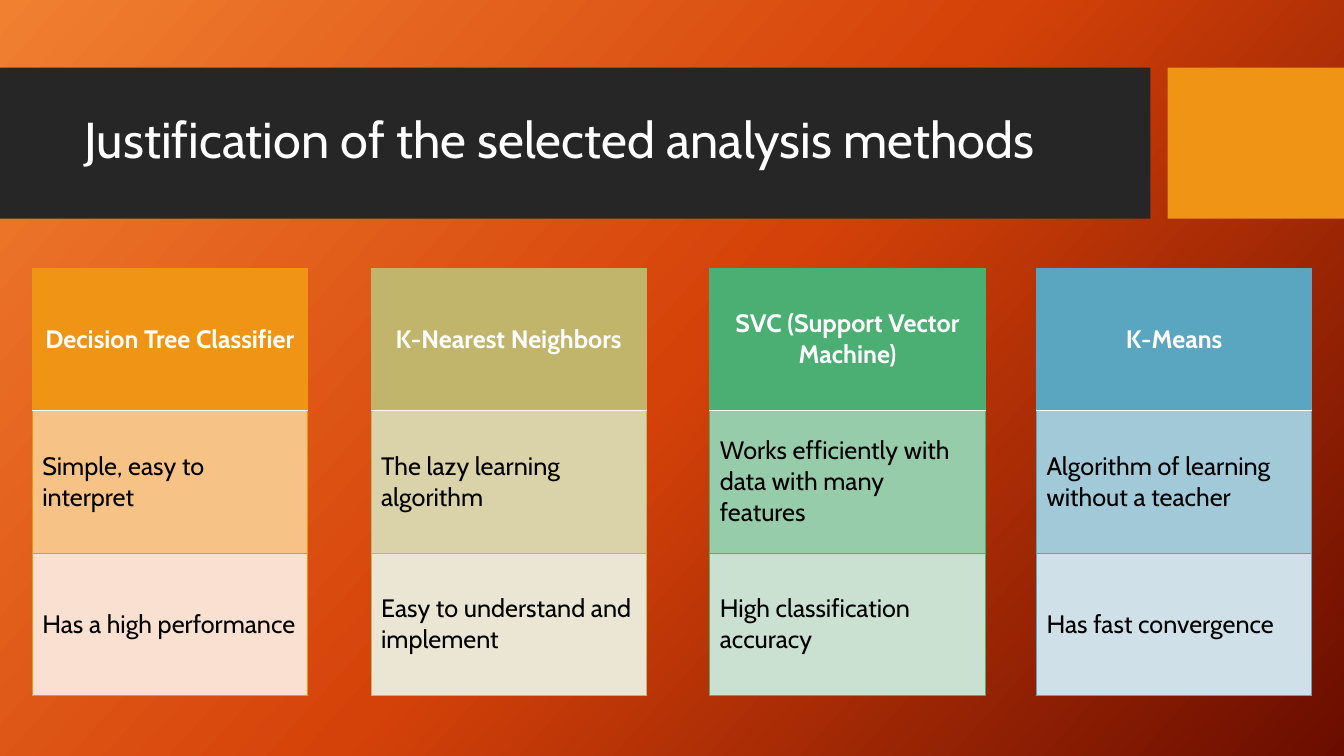
from copy import deepcopy

from lxml.etree import SubElement
from pptx import Presentation
from pptx.dml.color import RGBColor
from pptx.enum.shapes import MSO_SHAPE
from pptx.enum.text import MSO_ANCHOR, PP_ALIGN
from pptx.oxml.ns import qn
from pptx.util import Inches, Pt

FONT = "Cabin"
COLORS = {
    "dark": "262626", "white": "FFFFFF", "black": "000000",
    "orange": "F09415", "olive": "C1B56B", "green": "4BAF73", "blue": "5AA6C0",
    "orange_pale": "FAE0D0", "olive_pale": "EAE6D3",
    "green_pale": "CAE0D1", "blue_pale": "D0E0E8",
}
BACKDROP = [(0, "F18031"), (0.5, "D54209"), (1, "6A0D00")]
TITLE = "Justification of the selected analysis methods"
# left edge, hue, header and two reasons
METHODS = [
    (0.32, "orange", ["Decision Tree Classifier", "Simple, easy to interpret",
                      "Has a high performance"]),
    (3.68, "olive", ["K-Nearest Neighbors", "The lazy learning algorithm",
                     "Easy to understand and implement"]),
    (7.04, "green", ["SVC (Support Vector Machine)",
                     "Works efficiently with data with many features",
                     "High classification accuracy"]),
    (10.28, "blue", ["K-Means", "Algorithm of learning without a teacher",
                     "Has fast convergence"]),
]
TOP, WIDTH, HEIGHT = 2.66, 2.73, 4.24
BAND_TOP, BAND_HEIGHT = 0.67, 1.5


def rgb(name):
    return RGBColor.from_string(COLORS[name])


def blend(front, back, share):
    """Mix two named colours, with the given share of the front one."""
    pairs = zip(rgb(front), rgb(back))
    return RGBColor(*(round(f * share + b * (1 - share)) for f, b in pairs))


def style(par, size, color, bold=False):
    for run in par.runs:
        run.font.name = FONT
        run.font.size = Pt(size)
        run.font.bold = bold
        run.font.color.rgb = rgb(color)


def paint_backdrop(slide):
    fill = slide.background.fill
    fill.gradient()
    fill.gradient_angle = 318
    stops = next(slide.element.iter(qn("a:gsLst")))
    stops.append(deepcopy(stops[0]))
    for stop, (place, color) in zip(fill.gradient_stops, BACKDROP):
        stop.position = place
        stop.color.rgb = RGBColor.from_string(color)


def add_band(slide, left, width, color):
    band = slide.shapes.add_shape(
        MSO_SHAPE.RECTANGLE, Inches(left), Inches(BAND_TOP),
        Inches(width), Inches(BAND_HEIGHT))
    band.shadow.inherit = False
    band.fill.solid()
    band.fill.fore_color.rgb = rgb(color)
    band.line.fill.background()


def add_title(slide):
    box = slide.shapes.add_textbox(
        Inches(0.74), Inches(0.82), Inches(10.51), Inches(1.18))
    frame = box.text_frame
    frame.word_wrap = True
    frame.vertical_anchor = MSO_ANCHOR.MIDDLE
    frame.text = TITLE
    frame.paragraphs[0].line_spacing = 0.9
    style(frame.paragraphs[0], 36, "white")


def set_border(cell, side, color, points):
    line = SubElement(cell._tc.get_or_add_tcPr(), qn("a:ln" + side),
                      w=str(Pt(points)))
    solid = SubElement(line, qn("a:solidFill"))
    SubElement(solid, qn("a:srgbClr"), val=COLORS[color])


def add_method(slide, left, hue, texts):
    frame = slide.shapes.add_table(
        len(texts), 1, Inches(left), Inches(TOP), Inches(WIDTH), Inches(HEIGHT))
    table = frame.table
    pale = hue + "_pale"
    fills = [rgb(hue), blend(hue, pale, 0.4), rgb(pale)]
    for row, (text, fill) in enumerate(zip(texts, fills)):
        head = row == 0
        cell = table.cell(row, 0)
        cell.text = text
        cell.vertical_anchor = MSO_ANCHOR.MIDDLE
        par = cell.text_frame.paragraphs[0]
        par.alignment = PP_ALIGN.CENTER if head else PP_ALIGN.LEFT
        style(par, 18, "white" if head else "black", head)
        # borders must come before the fill in the cell's XML
        rules = {side: (hue, 0.75) for side in "LRTB"}
        if row < 2:
            rules["B" if head else "T"] = ("white", 1)
        for side, (color, points) in rules.items():
            set_border(cell, side, color, points)
        cell.fill.solid()
        cell.fill.fore_color.rgb = fill


def main():
    deck = Presentation()
    deck.slide_width, deck.slide_height = Inches(13.33), Inches(7.5)
    slide = deck.slides.add_slide(deck.slide_layouts[6])
    paint_backdrop(slide)
    add_band(slide, 0, 11.41, "dark")
    add_band(slide, 11.58, 1.75, "orange")
    add_title(slide)
    for left, hue, texts in METHODS:
        add_method(slide, left, hue, texts)
    deck.save("out.pptx")


if __name__ == "__main__":
    main()
